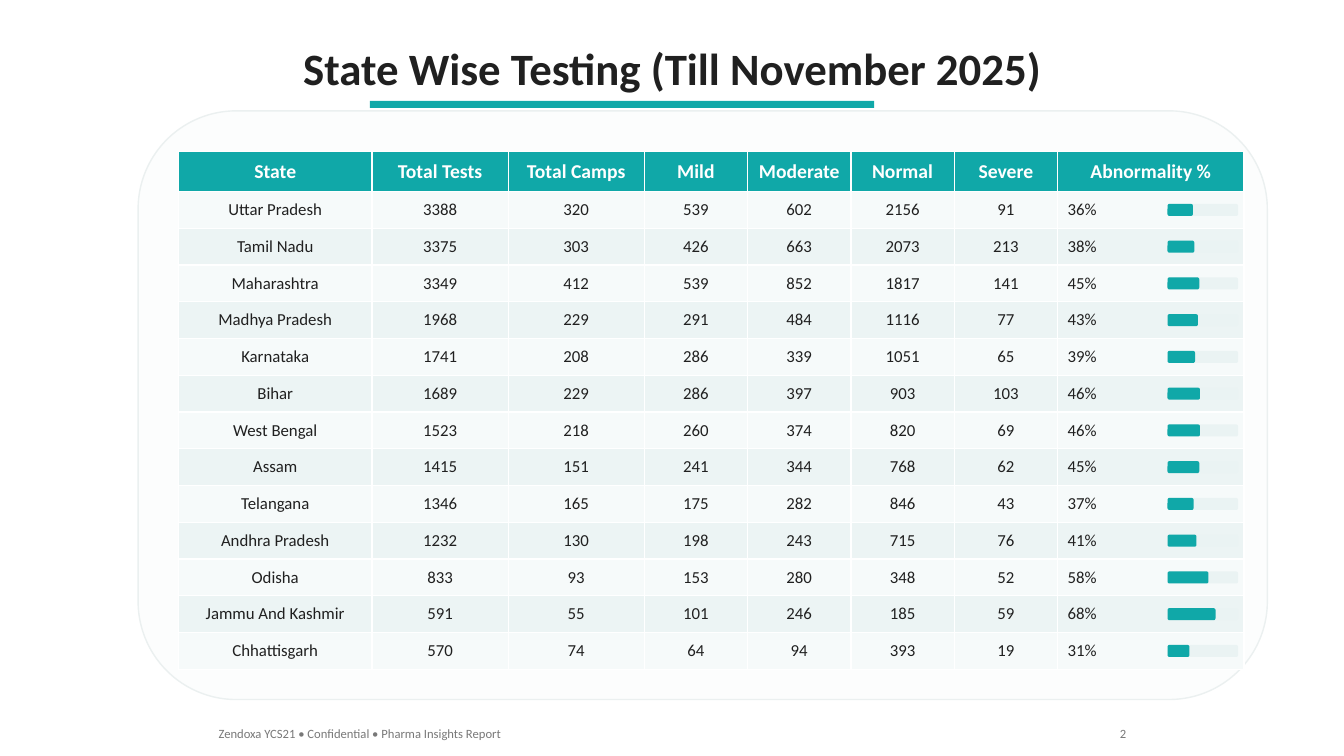
"""Build the state wise testing slide with its table and abnormality bars."""
from pptx import Presentation
from pptx.dml.color import RGBColor
from pptx.enum.shapes import MSO_SHAPE
from pptx.enum.text import MSO_ANCHOR, MSO_AUTO_SIZE, PP_ALIGN
from pptx.util import Inches, Pt

TEAL, INK, WHITE, GREY = "10A8A8", "202020", "FFFFFF", "787878"
BANDS = ["F6FAFA", "ECF4F4"]
LEFT, TOP, WIDTH, HEIGHT = 1.77, 1.5, 10.57, 5.14
HEAD_H = 0.4
HEADERS = ["State", "Total Tests", "Total Camps", "Mild", "Moderate", "Normal", "Severe", "Abnormality %"]
STATES = [
    ("Uttar Pradesh", 3388, 320, 539, 602, 2156, 91, 36),
    ("Tamil Nadu", 3375, 303, 426, 663, 2073, 213, 38),
    ("Maharashtra", 3349, 412, 539, 852, 1817, 141, 45),
    ("Madhya Pradesh", 1968, 229, 291, 484, 1116, 77, 43),
    ("Karnataka", 1741, 208, 286, 339, 1051, 65, 39),
    ("Bihar", 1689, 229, 286, 397, 903, 103, 46),
    ("West Bengal", 1523, 218, 260, 374, 820, 69, 46),
    ("Assam", 1415, 151, 241, 344, 768, 62, 45),
    ("Telangana", 1346, 165, 175, 282, 846, 43, 37),
    ("Andhra Pradesh", 1232, 130, 198, 243, 715, 76, 41),
    ("Odisha", 833, 93, 153, 280, 348, 52, 58),
    ("Jammu And Kashmir", 591, 55, 101, 246, 185, 59, 68),
    ("Chhattisgarh", 570, 74, 64, 94, 393, 19, 31),
]
ROW_H = (HEIGHT - HEAD_H) / len(STATES)
COUNT_W = (WIDTH - 1.92 - 2 * 1.35 - 1.85) / 4
COL_WIDTHS = [1.92, 1.35, 1.35] + [COUNT_W] * 4 + [1.85]


def write(tf, text, size, color, align, bold=False):
    p = tf.paragraphs[0]
    p.alignment = align
    r = p.add_run()
    r.text = text
    r.font.name, r.font.size, r.font.bold = "Calibri", Pt(size), bold
    r.font.color.rgb = RGBColor.from_string(color)


def block(kind, x, y, w, h, fill, line=None):
    sp = s.shapes.add_shape(kind, Inches(x), Inches(y), Inches(w), Inches(h))
    sp.shadow.inherit = False
    sp.fill.solid()
    sp.fill.fore_color.rgb = RGBColor.from_string(fill)
    if line:
        sp.line.color.rgb = RGBColor.from_string(line)
        sp.line.width = Pt(1)
    else:
        sp.line.fill.background()


prs = Presentation()
prs.slide_width, prs.slide_height = Inches(13.33), Inches(7.5)
s = prs.slides.add_slide(prs.slide_layouts[5])

title = s.shapes.title
title.left, title.top, title.width, title.height = Inches(2.87), Inches(0.35), Inches(7.6), Inches(0.64)
title.text_frame.word_wrap = False
title.text_frame.auto_size = MSO_AUTO_SIZE.NONE
write(title.text_frame, "State Wise Testing (Till November 2025)", 32, INK, PP_ALIGN.CENTER, True)

block(MSO_SHAPE.RECTANGLE, 3.67, 1, 5, 0.07, TEAL)
block(MSO_SHAPE.ROUNDED_RECTANGLE, 1.37, 1.1, 11.2, 5.84, "FCFDFD", "EBF0F0")

table = s.shapes.add_table(len(STATES) + 1, len(HEADERS), Inches(LEFT), Inches(TOP),
                           Inches(WIDTH), Inches(HEIGHT)).table
for col, width in zip(table.columns, COL_WIDTHS):
    col.width = Inches(width)
for i, values in enumerate([HEADERS] + STATES):
    head = i == 0
    table.rows[i].height = Inches(HEAD_H if head else ROW_H)
    for j, value in enumerate(values):
        percent = not head and j == len(HEADERS) - 1
        cell = table.cell(i, j)
        cell.vertical_anchor = MSO_ANCHOR.MIDDLE
        cell.fill.solid()
        cell.fill.fore_color.rgb = RGBColor.from_string(TEAL if head else BANDS[(i - 1) % 2])
        write(cell.text_frame, f"{value}%" if percent else str(value), 14 if head else 12,
              WHITE if head else INK, PP_ALIGN.LEFT if percent else PP_ALIGN.CENTER, head)

BAR_W, BAR_H = 0.7, 0.12
for i, state in enumerate(STATES):
    y = TOP + HEAD_H + i * ROW_H + (ROW_H - BAR_H) / 2
    for share, color in [(1, "EAF3F3"), (state[-1] / 100, TEAL)]:
        block(MSO_SHAPE.ROUNDED_RECTANGLE, 11.58, y, BAR_W * share, BAR_H, color)

for x, width, text, align in [
    (2.07, 3.05, "Zendoxa YCS21 • Confidential • Pharma Insights Report", PP_ALIGN.LEFT),
    (11, 0.27, "2", PP_ALIGN.RIGHT),
]:
    tf = s.shapes.add_textbox(Inches(x), Inches(7.15), Inches(width), Inches(0.25)).text_frame
    tf.word_wrap = False
    write(tf, text, 9, GREY, align)

prs.save("out.pptx")
